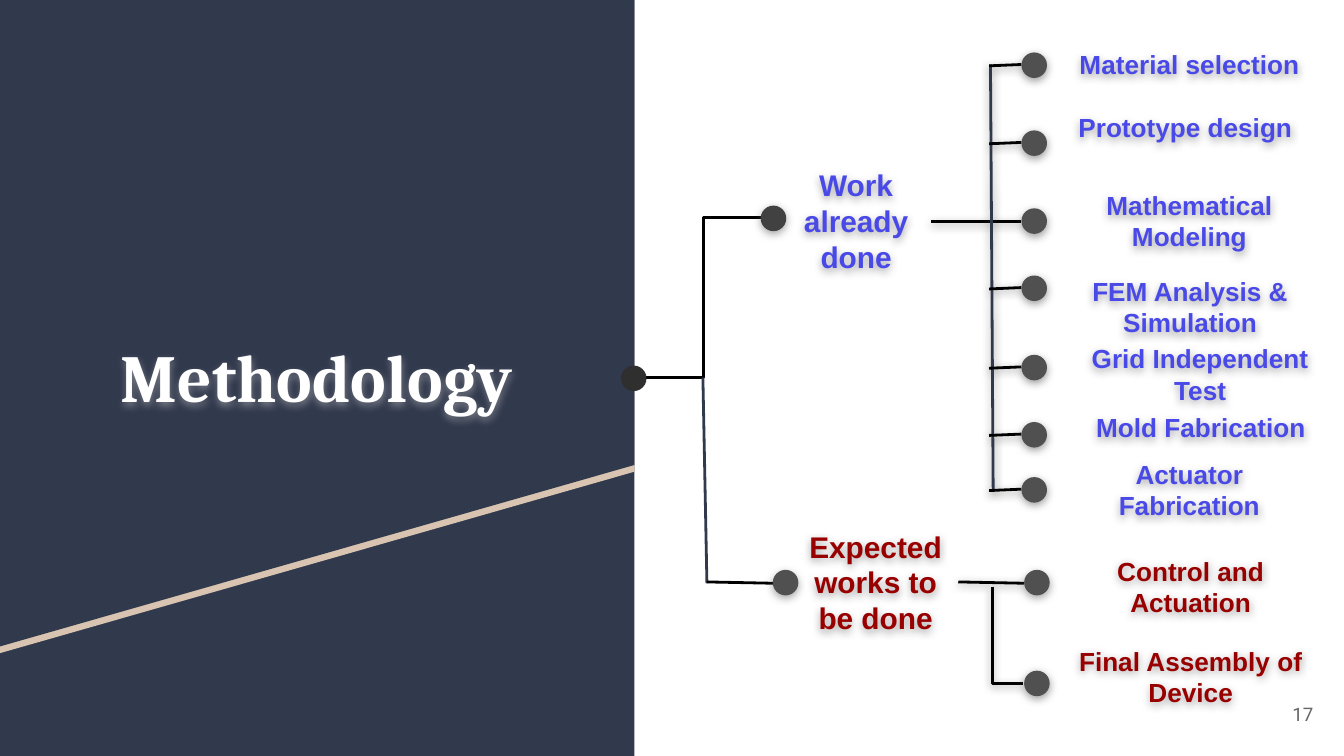
from lxml import etree
from pptx import Presentation
from pptx.dml.color import RGBColor
from pptx.enum import shapes, text
from pptx.oxml import ns
from pptx.util import Inches, Pt

rgb = RGBColor.from_string
NAVY, SAND, BLACK, WHITE = "31394D", "D9C4B1", "000000", "FFFFFF"
BLUE, RED, GRAY, DARK_GRAY = "4949E7", "980000", "505050", "414141"
DOT = 0.19


def set_shadow(shape, color=None):
    properties = shape._element.spPr
    for old in properties.findall(ns.qn("a:effectLst")):
        properties.remove(old)
    effects = etree.SubElement(properties, ns.qn("a:effectLst"))
    if color:
        shadow = etree.SubElement(effects, ns.qn("a:outerShdw"), blurRad=str(Pt(4.5)),
                                  dist=str(Pt(1.5)), dir="5400000", algn="bl", rotWithShape="0")
        value = etree.SubElement(shadow, ns.qn("a:srgbClr"), val=color)
        etree.SubElement(value, ns.qn("a:alpha"), val="50000")


def add_label(content, box, size, color, font="Arial", align=text.PP_ALIGN.CENTER, bold=True):
    label = slide.shapes.add_textbox(*map(Inches, box))
    frame = label.text_frame
    frame.word_wrap = True
    frame.margin_left = frame.margin_right = frame.margin_top = frame.margin_bottom = Inches(0.1)
    frame.text = content
    paragraph = frame.paragraphs[0]
    paragraph.alignment = align
    run = paragraph.runs[0]
    run.font.name = font
    run.font.size = Pt(size)
    run.font.bold = bold
    run.font.color.rgb = rgb(color)
    return label


presentation = Presentation()
presentation.slide_width = Inches(10)
presentation.slide_height = Inches(10) * 9 // 16
slide = presentation.slides.add_slide(presentation.slide_layouts[6])

panel = slide.shapes.add_shape(shapes.MSO_SHAPE.RECTANGLE, 0, 0, Inches(4.72),
                               presentation.slide_height)
bands = [(panel, NAVY)]
for top, color in [(0.05, SAND), (0, NAVY)]:
    builder = slide.shapes.build_freeform(0, Inches(top))
    corners = [(4.72, top), (4.72, top + 3.46), (0, top + 4.81)]
    builder.add_line_segments([(Inches(x), Inches(y)) for x, y in corners])
    bands.append((builder.convert_to_shape(), color))
for band, color in bands:
    band.shadow.inherit = False
    band.fill.solid()
    band.fill.fore_color.rgb = rgb(color)
    band.line.fill.background()

title = add_label("Methodology", (0.33, 2.13, 4.05, 1.33), 36, WHITE, "Cambria")
title.text_frame.vertical_anchor = text.MSO_ANCHOR.MIDDLE
set_shadow(title, "C0C0C0")

done_dot_tops = [0.39, 0.97, 1.55, 2.05, 2.64, 3.14, 3.55]
STRAIGHT, ELBOW = shapes.MSO_CONNECTOR.STRAIGHT, shapes.MSO_CONNECTOR.ELBOW
lines = [
    (ELBOW, (4.81, 2.81, 5.66, 1.62), BLACK, None),
    (STRAIGHT, (5.23, 2.81, 5.26, 4.34), NAVY, None),
    (STRAIGHT, (5.26, 4.33, 5.75, 4.34), BLACK, None),
    (STRAIGHT, (6.93, 1.65, 7.6, 1.65), BLACK, DARK_GRAY),
    (STRAIGHT, (7.13, 4.33, 7.62, 4.34), BLACK, GRAY),
    (STRAIGHT, (7.37, 0.48, 7.39, 3.66), NAVY, DARK_GRAY),
]
for top in done_dot_tops:
    if top != 1.55:
        lines.append((STRAIGHT, (7.36, top + 0.1, 7.6, top + 0.09), BLACK, DARK_GRAY))
lines.append((ELBOW, (7.86, 4.61, 7.14, 4.84), BLACK, DARK_GRAY))

for kind, ends, color, shadow in lines:
    connector = slide.shapes.add_connector(kind, *map(Inches, ends))
    connector.line.color.rgb = rgb(color)
    connector.line.width = Pt(1.5)
    set_shadow(connector, shadow)

final_branch = connector._element.spPr
final_branch.find(ns.qn("a:prstGeom")).set("prst", "bentConnector2")
final_branch.find(ns.qn("a:xfrm")).set("rot", str(270 * 60000))

dots = [
    (4.62, 2.72, "2F2F2F", None),
    (5.66, 1.53, DARK_GRAY, GRAY),
    (5.75, 4.24, GRAY, GRAY),
    (7.62, 4.24, GRAY, GRAY),
    (7.62, 4.99, GRAY, DARK_GRAY),
]
dots += [(7.6, top, GRAY, DARK_GRAY) for top in done_dot_tops]
for left, top, color, shadow in dots:
    dot = slide.shapes.add_shape(shapes.MSO_SHAPE.OVAL, Inches(left), Inches(top),
                                 Inches(DOT), Inches(DOT))
    dot.fill.solid()
    dot.fill.fore_color.rgb = rgb(color)
    dot.line.fill.background()
    set_shadow(dot, shadow)

labels = [
    ("Work already done", (5.81, 1.14, 1.12, 1.01), 16, BLUE),
    ("Expected works to be done", (5.91, 3.83, 1.21, 1.01), 16, RED),
    ("Material selection", (7.89, 0.26, 1.92, 0.44), 14, BLUE),
    ("Prototype design", (7.82, 0.73, 2, 0.44), 14, BLUE),
    ("Mathematical Modeling", (7.89, 1.31, 1.92, 0.67), 14, BLUE),
    ("FEM Analysis & Simulation", (8, 1.95, 1.71, 0.67), 14, BLUE),
    ("Grid Independent Test", (8, 2.45, 1.86, 0.67), 14, BLUE),
    ("Mold Fabrication", (7.93, 2.96, 2.01, 0.44), 14, BLUE),
    ("Actuator Fabrication", (7.9, 3.31, 1.9, 0.67), 14, BLUE),
    ("Control and Actuation", (7.81, 4.03, 2.1, 0.67), 14, RED),
    ("Final Assembly of Device", (7.81, 4.7, 2.1, 0.67), 14, RED),
]
for content, box, size, color in labels:
    label = add_label(content, box, size, color)
    label.text_frame.auto_size = text.MSO_AUTO_SIZE.SHAPE_TO_FIT_TEXT
    set_shadow(label, GRAY)

number = add_label("17", (9.27, 5.1, 0.6, 0.43), 10, "666666", "Roboto",
                   text.PP_ALIGN.RIGHT, False)
number.text_frame.vertical_anchor = text.MSO_ANCHOR.MIDDLE

presentation.save("out.pptx")
